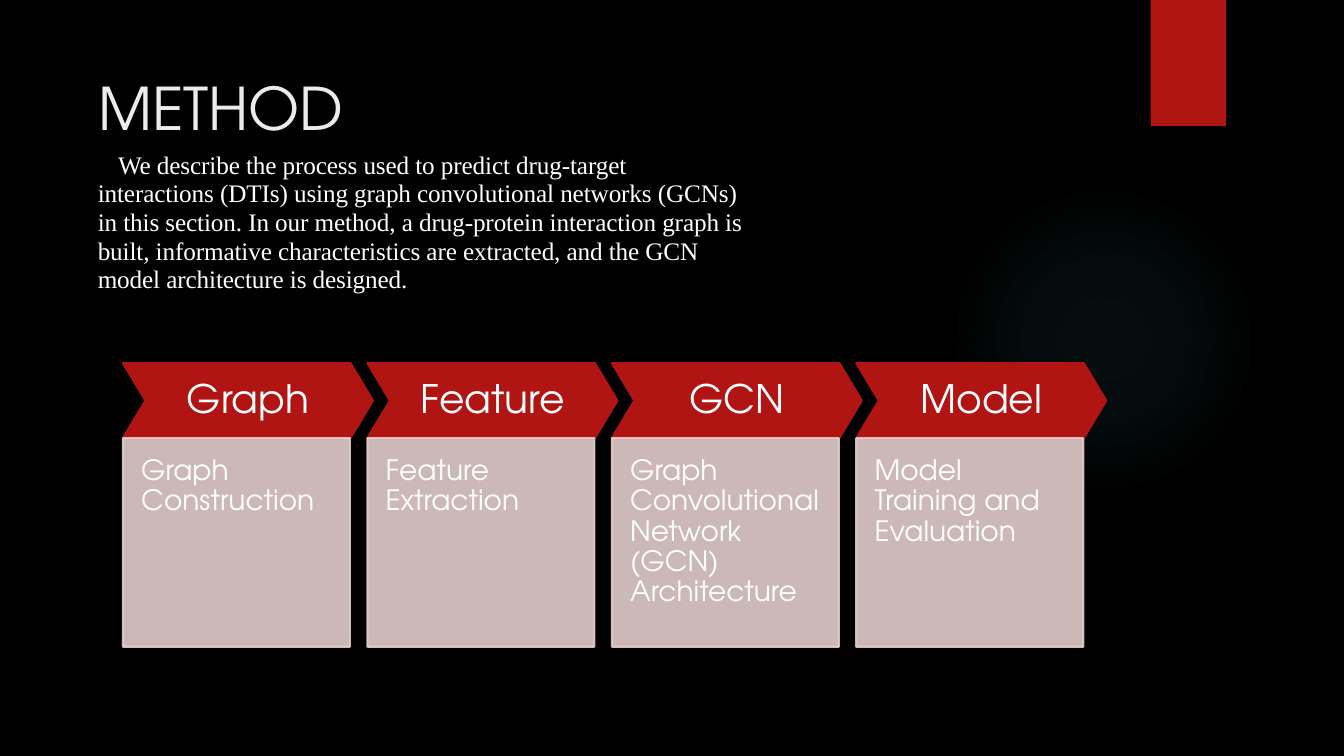
"""Build the METHOD slide: an introduction above a four-step chevron process."""
from lxml.etree import SubElement
from pptx import Presentation
from pptx.dml.color import RGBColor
from pptx.enum.shapes import MSO_SHAPE as Preset
from pptx.enum.text import MSO_ANCHOR as Anchor, MSO_AUTO_SIZE as AutoSize, PP_ALIGN as Align
from pptx.oxml import parse_xml
from pptx.oxml.ns import nsdecls, qn
from pptx.util import Cm, Pt

HEADING_FONT = "TeX Gyre Adventor"
RED, PINK, WHITE = "B01513", "E4CCCC", "FFFFFF"


def paint(fill, color):
    fill.solid()
    fill.fore_color.rgb = RGBColor.from_string(color)


def write_text(shape, text, color, frame_format, paragraph_format, font_format):
    frame = shape.text_frame
    frame.text = text
    paragraph = frame.paragraphs[0]
    font = paragraph.runs[0].font
    paint(font.fill, color)
    for target, values in ((frame, frame_format), (paragraph, paragraph_format), (font, font_format)):
        for name, value in values.items():
            setattr(target, name, value)
    return paragraph


presentation = Presentation()
presentation.slide_width, presentation.slide_height = Cm(33.87), Cm(19.05)
slide = presentation.slides.add_slide(presentation.slide_layouts[1])
paint(slide.background.fill, "000000")

title, body = slide.placeholders
for placeholder, box in ((title, (2.22, 1.68, 26.14, 3.89)), (body, (2.21, 3.68, 16.85, 3.91))):
    placeholder.left, placeholder.top, placeholder.width, placeholder.height = map(Cm, box)

top_frame = {"word_wrap": True, "auto_size": AutoSize.NONE, "vertical_anchor": Anchor.TOP}
write_text(title, "METHOD", "EBEBEB", top_frame, {"alignment": Align.LEFT},
           {"name": HEADING_FONT, "size": Pt(42)})

introduction = write_text(
    body,
    "We describe the process used to predict drug-target interactions (DTIs) using graph "
    "convolutional networks (GCNs) in this section. In our method, a drug-protein interaction "
    "graph is built, informative characteristics are extracted, and the GCN model architecture "
    "is designed.",
    WHITE, top_frame,
    {"alignment": Align.LEFT, "line_spacing": 0.95, "space_before": Pt(0), "space_after": Pt(6)},
    {"name": "Times New Roman", "size": Pt(18)})
properties = introduction._p.get_or_add_pPr()
properties.set("marL", "0")
properties.set("indent", str(Cm(0.51)))
SubElement(properties, qn("a:buNone"))
introduction.runs[0]._r.get_or_add_rPr().set("spc", "-8")

glow = slide.shapes.add_shape(Preset.OVAL, Cm(23.9), Cm(4.65), Cm(7.82), Cm(7.82))
glow.shadow.inherit = False
glow.line.fill.background()
stops = "".join(
    f'<a:gs pos="{position}000"><a:srgbClr val="50B9C1"><a:alpha val="{alpha}000"/></a:srgbClr></a:gs>'
    for position, alpha in ((0, 7), (36, 6), (69, 0)))
glow._element.spPr.find(qn("a:prstGeom")).addnext(parse_xml(
    f'<a:gradFill {nsdecls("a")}><a:gsLst>{stops}</a:gsLst><a:path path="circle">'
    '<a:fillToRect l="50000" t="50000" r="50000" b="50000"/></a:path></a:gradFill>'))

banner = slide.shapes.add_shape(Preset.RECTANGLE, Cm(29), 0, Cm(1.9), Cm(3.18))
banner.shadow.inherit = False
paint(banner.fill, RED)
banner.line.fill.background()

steps = [
    ("Graph", "Graph Construction"),
    ("Feature", "Feature Extraction"),
    ("GCN", "Graph Convolutional Network (GCN) Architecture"),
    ("Model", "Model Training and Evaluation"),
]
margins = ("margin_left", "margin_top", "margin_right", "margin_bottom")
header_frame = {"word_wrap": True, "vertical_anchor": Anchor.MIDDLE, **dict.fromkeys(margins, Cm(0.23))}
detail_frame = {**top_frame, **dict.fromkeys(margins, Cm(0.46)), "margin_bottom": Cm(0.91)}

for index, (name, description) in enumerate(steps):
    left = Cm(3.1 + 6.16 * index)
    chevron = slide.shapes.add_shape(Preset.CHEVRON, left, Cm(9.15), Cm(6.3), Cm(1.89))
    chevron.adjustments[0] = 0.3
    detail = slide.shapes.add_shape(Preset.RECTANGLE, left, Cm(11.04), Cm(5.72), Cm(5.26))
    for shape, color in ((chevron, RED), (detail, PINK)):
        shape.shadow.inherit = False
        paint(shape.fill, color)
        paint(shape.line.fill, color)
        shape.line.width = Pt(1.5)
    for tint in detail._element.spPr.iter(qn("a:srgbClr")):
        SubElement(tint, qn("a:alpha"), val="90000")
    write_text(chevron, name, WHITE, header_frame, {"alignment": Align.CENTER, "line_spacing": 0.9},
               {"name": HEADING_FONT, "size": Pt(28)})
    write_text(detail, description, WHITE, detail_frame, {"alignment": Align.LEFT, "line_spacing": 0.9},
               {"name": HEADING_FONT, "size": Pt(20)})

presentation.save("out.pptx")
